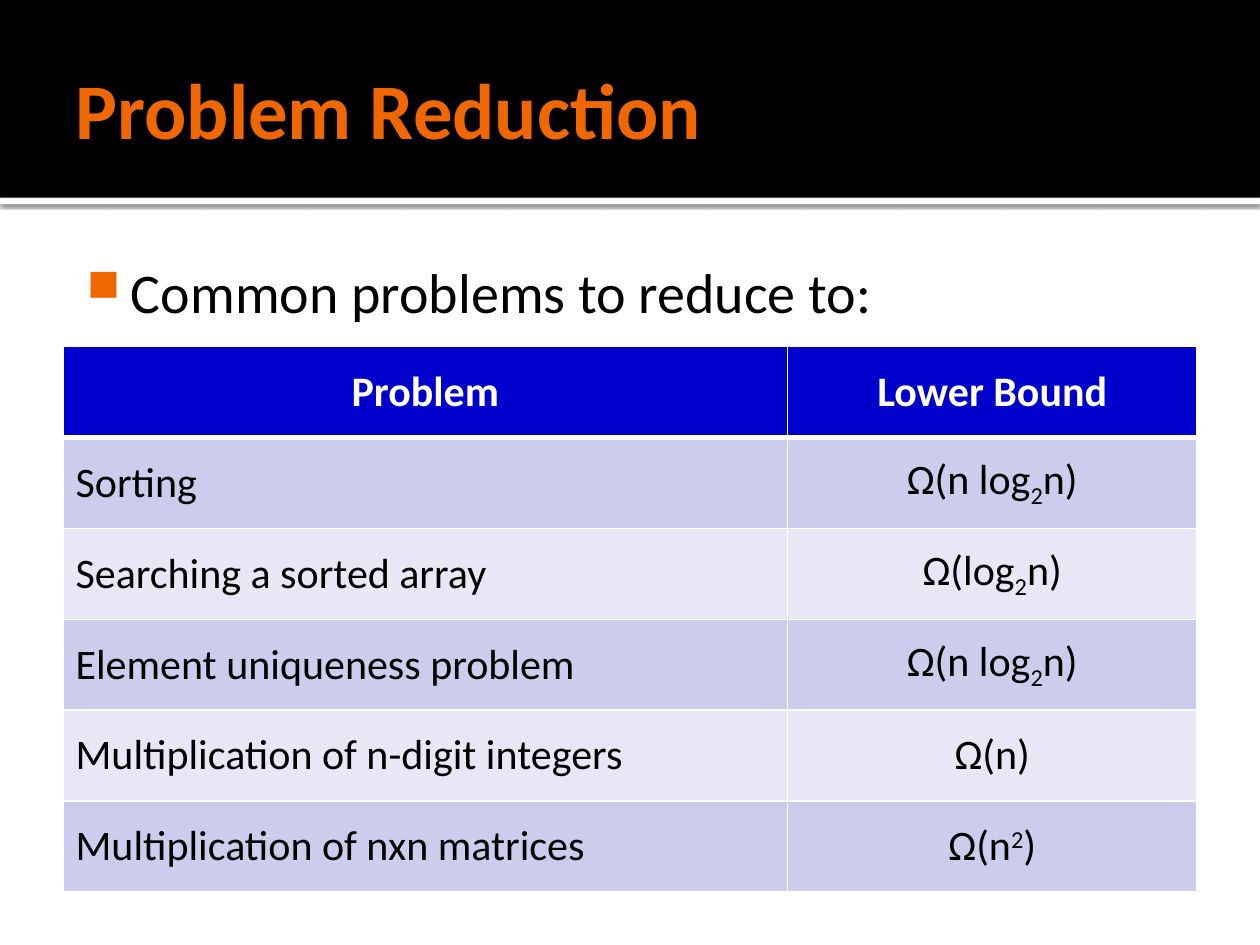
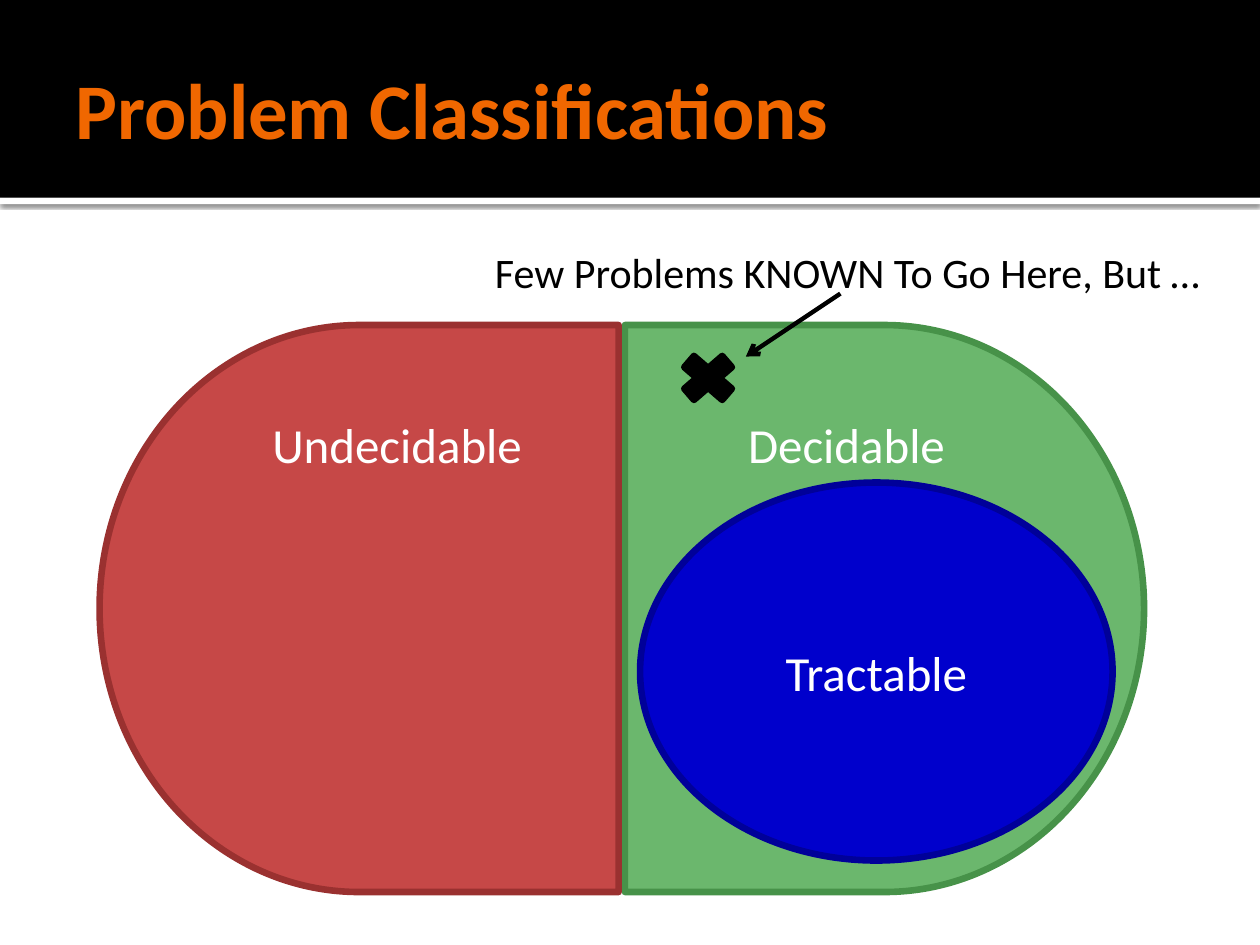
from typing import Any, NamedTuple, Optional

from lxml.etree import SubElement
from pptx import Presentation
from pptx.dml.color import RGBColor
from pptx.enum.shapes import MSO_CONNECTOR, MSO_SHAPE as SHAPE
from pptx.enum.text import MSO_ANCHOR as ANCHOR, MSO_AUTO_SIZE as AUTO_SIZE, PP_ALIGN as ALIGN
from pptx.oxml.ns import qn
from pptx.util import Pt

EMU_PER_PX = 9144  # 100 px to the inch
SLIDE_W, SLIDE_H = 1000, 750
BAND_H, STRIP_H = 157, 5
FONT = "Calibri"

BLACK = RGBColor(0x00, 0x00, 0x00)
WHITE = RGBColor(0xFF, 0xFF, 0xFF)
ORANGE = RGBColor(0xF0, 0x67, 0x00)
BLUE = RGBColor(0x00, 0x00, 0xCC)
DARK_BLUE = RGBColor(0x00, 0x00, 0x99)
ROW_DARK = RGBColor(0xCC, 0xCC, 0xEC)
ROW_LIGHT = RGBColor(0xE7, 0xE7, 0xF6)
GREEN = RGBColor(0x6B, 0xB7, 0x6D)
DARK_GREEN = RGBColor(0x47, 0x92, 0x49)
RED = RGBColor(0xC6, 0x48, 0x47)
DARK_RED = RGBColor(0x9A, 0x31, 0x30)

OUTLINE_PT = 3.78
SUB, SUPER = -25000, 30000


class Box(NamedTuple):
    x: int
    y: int
    w: int
    h: int


class Piece(NamedTuple):
    text: str
    baseline: int = 0


class Region(NamedTuple):
    kind: SHAPE
    box: Box
    fill: RGBColor
    line: RGBColor
    label: str = ""
    anchor: ANCHOR = ANCHOR.TOP
    flipped: bool = False


class Bound(NamedTuple):
    problem: str
    pieces: tuple[Piece, ...]


N_LOG_N = (Piece("Ω(n log"), Piece("2", SUB), Piece("n)"))
BOUNDS = (
    Bound("Sorting", N_LOG_N),
    Bound("Searching a sorted array", (Piece("Ω(log"), Piece("2", SUB), Piece("n)"))),
    Bound("Element uniqueness problem", N_LOG_N),
    Bound("Multiplication of n-digit integers", (Piece("Ω(n)"),)),
    Bound("Multiplication of nxn matrices", (Piece("Ω(n"), Piece("2", SUPER), Piece(")"))),
)
REGIONS = (
    Region(SHAPE.FLOWCHART_DELAY, Box(496, 258, 412, 450), GREEN, DARK_GREEN, "Decidable"),
    Region(SHAPE.FLOWCHART_DELAY, Box(79, 258, 412, 450), RED, DARK_RED, "Undecidable",
           flipped=True),
    Region(SHAPE.OVAL, Box(508, 383, 375, 300), BLUE, DARK_BLUE, "Tractable", ANCHOR.MIDDLE),
    Region(SHAPE.MATH_MULTIPLY, Box(533, 275, 58, 50), BLACK, BLACK),
)


def px(n: int) -> int:
    return n * EMU_PER_PX


def emu(box: Box) -> list[int]:
    return [px(n) for n in box]


def set_attrs(obj: Any, values: dict[str, Any]) -> None:
    for name, value in values.items():
        setattr(obj, name, value)


def set_font(font: Any, size: int, color: RGBColor, bold: bool = False) -> None:
    set_attrs(font, {"name": FONT, "size": Pt(size), "bold": bold})
    font.color.rgb = color


def write(p: Any, pieces: tuple[Piece, ...], size: int, color: RGBColor,
          bold: bool = False, align: ALIGN = ALIGN.LEFT) -> None:
    p.alignment = align
    for piece in pieces:
        r = p.add_run()
        r.text = piece.text
        set_font(r.font, size, color, bold)
        if piece.baseline:
            r._r.get_or_add_rPr().set("baseline", str(piece.baseline))


def add_filled(slide: Any, kind: SHAPE, box: Box, fill: RGBColor,
               line: Optional[RGBColor] = None) -> Any:
    sp = slide.shapes.add_shape(kind, *emu(box))
    sp.shadow.inherit = False
    sp.fill.solid()
    sp.fill.fore_color.rgb = fill
    if line is None:
        sp.line.fill.background()
    else:
        sp.line.color.rgb = line
        sp.line.width = Pt(OUTLINE_PT)
    return sp


def add_drop_shadow(sp: Any) -> None:
    effects = sp._element.spPr.find(qn("a:effectLst"))
    shadow = SubElement(effects, qn("a:outerShdw"), blurRad=str(Pt(2.5)), dist=str(Pt(0.8)),
                        dir="5400000", algn="tl", rotWithShape="0")
    color = SubElement(shadow, qn("a:srgbClr"), val=str(BLACK))
    SubElement(color, qn("a:alpha"), val="60000")


def add_titled_slide(prs: Any, title: str) -> Any:
    """Add a slide with the shared bands and the title on top of them."""
    slide = prs.slides.add_slide(prs.slide_layouts[5])
    strip = add_filled(slide, SHAPE.RECTANGLE, Box(0, BAND_H, SLIDE_W, STRIP_H), WHITE)
    add_drop_shadow(strip)
    add_filled(slide, SHAPE.RECTANGLE, Box(0, 0, SLIDE_W, BAND_H), BLACK)

    sp = slide.shapes.title
    slide.shapes._spTree.append(sp._element)
    set_attrs(sp, dict(zip(("left", "top", "width", "height"), emu(Box(50, 17, 900, 137)))))
    tf = sp.text_frame
    set_attrs(tf, {"word_wrap": True, "auto_size": AUTO_SIZE.NONE,
                   "vertical_anchor": ANCHOR.MIDDLE, "margin_left": px(10),
                   "margin_right": px(5), "margin_top": px(5), "margin_bottom": px(5)})
    write(tf.paragraphs[0], (Piece(title),), 45, ORANGE, bold=True)
    return slide


def add_bullet_text(slide: Any, text: str, box: Box) -> None:
    tf = slide.shapes.add_textbox(*emu(box)).text_frame
    set_attrs(tf, {"word_wrap": True, "margin_left": px(6), "margin_top": px(10),
                   "margin_right": px(10), "margin_bottom": px(5)})
    p = tf.paragraphs[0]
    pPr = p._p.get_or_add_pPr()
    pPr.set("marL", str(px(48)))
    pPr.set("indent", str(px(-35)))
    color = SubElement(pPr, qn("a:buClr"))
    SubElement(color, qn("a:srgbClr"), val=str(ORANGE))
    SubElement(pPr, qn("a:buSzPct"), val="80000")
    SubElement(pPr, qn("a:buChar"), char="■")
    write(p, (Piece(text),), 32, BLACK)


def set_borders(cell: Any, widths: dict[str, int]) -> None:
    tcPr = cell._tc.get_or_add_tcPr()
    for side, width in widths.items():
        ln = SubElement(tcPr, qn(f"a:ln{side}"), w=str(Pt(width)))
        fill = SubElement(ln, qn("a:solidFill"))
        SubElement(fill, qn("a:srgbClr"), val=str(WHITE))


def fill_cell(cell: Any, pieces: tuple[Piece, ...], row: int, align: ALIGN) -> None:
    header = row == 0
    set_borders(cell, {"L": 1, "R": 1, "T": 3 if row == 1 else 1, "B": 3 if header else 1})
    cell.fill.solid()
    cell.fill.fore_color.rgb = BLUE if header else ROW_DARK if row % 2 else ROW_LIGHT
    cell.vertical_anchor = ANCHOR.MIDDLE
    write(cell.text_frame.paragraphs[0], pieces, 24, WHITE if header else BLACK, header, align)


def add_bounds_table(slide: Any, box: Box, col_widths: tuple[int, int]) -> None:
    rows = len(BOUNDS) + 1
    table = slide.shapes.add_table(rows, len(col_widths), *emu(box)).table
    for column, width in zip(table.columns, col_widths):
        column.width = px(width)
    for col, heading in enumerate(("Problem", "Lower Bound")):
        fill_cell(table.cell(0, col), (Piece(heading),), 0, ALIGN.CENTER)
    for row, bound in enumerate(BOUNDS, start=1):
        fill_cell(table.cell(row, 0), (Piece(bound.problem),), row, ALIGN.LEFT)
        fill_cell(table.cell(row, 1), bound.pieces, row, ALIGN.CENTER)


def add_region(slide: Any, region: Region) -> None:
    sp = add_filled(slide, region.kind, region.box, region.fill, region.line)
    if region.flipped:
        sp._element.spPr.find(qn("a:xfrm")).set("flipH", "1")
    if region.label:
        tf = sp.text_frame
        set_attrs(tf, {"word_wrap": True, "vertical_anchor": region.anchor})
        write(tf.paragraphs[0], (Piece(region.label),), 28, WHITE, align=ALIGN.CENTER)


def add_arrow(slide: Any, start: tuple[int, int], end: tuple[int, int]) -> None:
    cxn = slide.shapes.add_connector(MSO_CONNECTOR.STRAIGHT, *map(px, start + end))
    cxn.line.color.rgb = BLACK
    cxn.line.width = Pt(2.5)
    SubElement(cxn.line._get_or_add_ln(), qn("a:tailEnd"), type="arrow")
    SubElement(cxn._element.spPr, qn("a:effectLst"))


def add_caption(slide: Any, text: str, box: Box) -> None:
    tf = slide.shapes.add_textbox(*emu(box)).text_frame
    set_attrs(tf, {"word_wrap": False, "auto_size": AUTO_SIZE.SHAPE_TO_FIT_TEXT})
    write(tf.paragraphs[0], (Piece(text),), 24, BLACK)


def build_reduction(prs: Any) -> None:
    slide = add_titled_slide(prs, "Problem Reduction")
    add_bounds_table(slide, Box(50, 275, 900, 433), (575, 325))
    add_bullet_text(slide, "Common problems to reduce to:", Box(50, 194, 900, 81))


def build_classifications(prs: Any) -> None:
    slide = add_titled_slide(prs, "Problem Classifications")
    for region in REGIONS:
        add_region(slide, region)
    add_arrow(slide, (667, 233), (592, 283))
    add_caption(slide, "Few Problems KNOWN To Go Here, But …", Box(383, 191, 602, 50))


def main() -> None:
    prs = Presentation()
    set_attrs(prs, {"slide_width": px(SLIDE_W), "slide_height": px(SLIDE_H)})
    build_reduction(prs)
    build_classifications(prs)
    prs.save("out.pptx")


if __name__ == "__main__":
    main()
